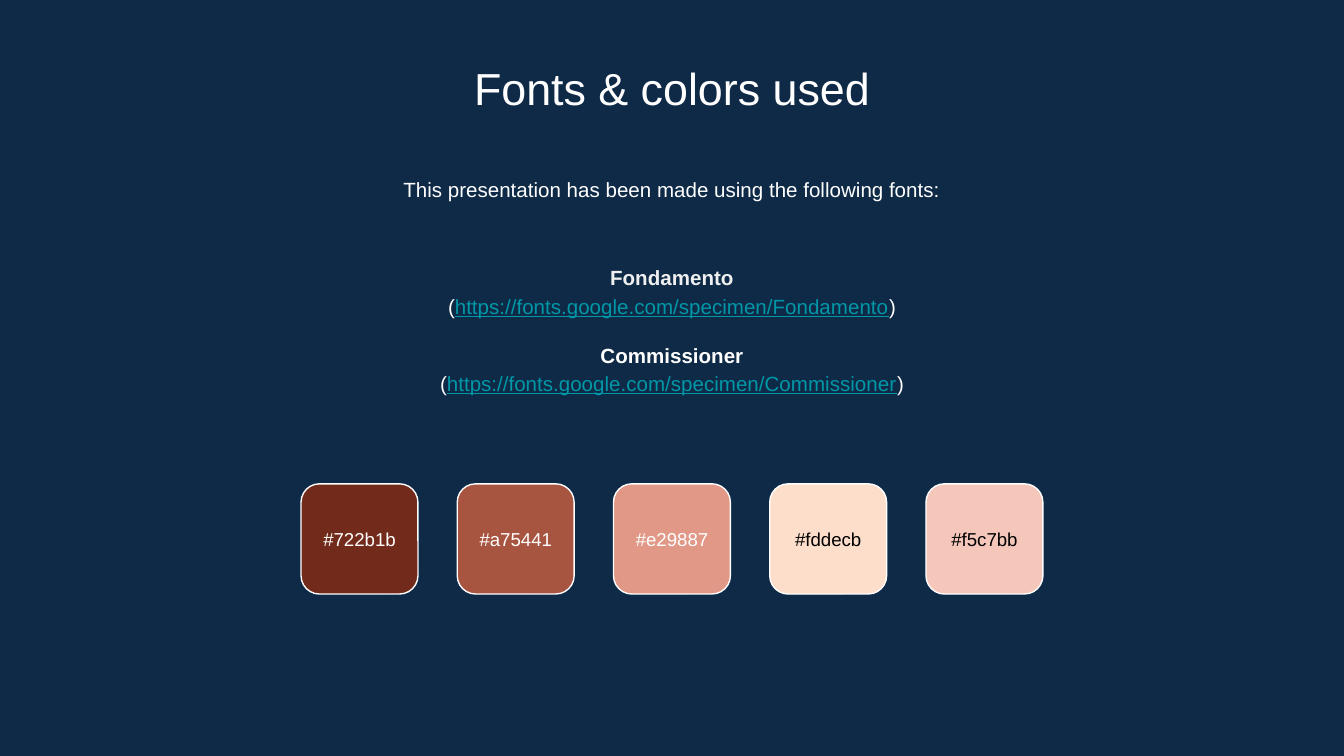
import pptx
import pptx.util
import pptx.dml.color
import pptx.enum.shapes
import pptx.enum.text
import pptx.oxml.ns
import lxml.etree

Inches, Pt = pptx.util.Inches, pptx.util.Pt
Anchor = pptx.enum.text.MSO_ANCHOR

COLORS = {"navy": "0E2A47", "white": "FFFFFF", "black": "000000",
          "pale": "EFEFEF", "link": "0097A7"}
SWATCHES = [("722b1b", "white"), ("a75441", "white"), ("e29887", "white"),
            ("fddecb", "black"), ("f5c7bb", "black")]
FONTS = [("Fondamento", "pale", "https://fonts.google.com/specimen/Fondamento"),
         ("Commissioner", "white", "https://fonts.google.com/specimen/Commissioner")]

WIDTH = 10
HEIGHT = WIDTH * 9 / 16
MARGIN = 1.27
COLUMN = WIDTH - 2 * MARGIN


def rgb(name):
    return pptx.dml.color.RGBColor.from_string(COLORS.get(name, name).upper())


def write(box, frame_place, anchor, lines, spacing=1.0):
    box.left, box.top, box.width, box.height = map(Inches, frame_place)
    frame = box.text_frame
    frame.word_wrap = True
    frame.auto_size = pptx.enum.text.MSO_AUTO_SIZE.NONE
    frame.vertical_anchor = anchor
    frame.margin_left = frame.margin_right = Inches(0.1)
    frame.margin_top = frame.margin_bottom = Inches(0.1)
    frame.text = "\n".join(text for text, size, color in lines)
    for para, (text, size, color) in zip(frame.paragraphs, lines):
        para.alignment = pptx.enum.text.PP_ALIGN.CENTER
        para.line_spacing = spacing
        para.space_before = Pt(0)
        if box.is_placeholder:
            properties = para._p.get_or_add_pPr()
            properties.set("marL", "0")
            properties.set("indent", "0")
            lxml.etree.SubElement(properties, pptx.oxml.ns.qn("a:buNone"))
        para.font.name = "Arial"
        para.font.size = Pt(size)
        para.font.color.rgb = rgb(color)
    return frame.paragraphs


deck = pptx.Presentation()
deck.slide_width, deck.slide_height = Inches(WIDTH), Inches(HEIGHT)
page = deck.slides.add_slide(deck.slide_layouts[1])
page.background.fill.solid()
page.background.fill.fore_color.rgb = rgb("navy")

write(page.shapes.title, (MARGIN, 0.35, COLUMN, 0.53), Anchor.TOP,
      [("Fonts & colors used", 24, "white")])

intro = page.shapes.add_textbox(0, 0, 0, 0)
write(intro, (MARGIN, 1.19, COLUMN, 0.48), Anchor.TOP,
      [("This presentation has been made using the following fonts:", 11, "white")], 1.15)

lines = []
for name, color, link in FONTS:
    lines += [(name, 11, color), ("(", 11, "white")]
paragraphs = write(page.placeholders[1], (MARGIN, 1.76, COLUMN, 1.37),
                   Anchor.MIDDLE, lines, 1.15)
for heading, address, (name, color, link) in zip(paragraphs[::2], paragraphs[1::2], FONTS):
    heading.font.bold = True
    span = address.add_run()
    span.text = link
    span.font.underline = True
    span.font.color.rgb = rgb("link")
    address.add_run().text = ")"
paragraphs[2].space_before = Pt(11)

SWATCH_LEFT, SWATCH_TOP = 2.24, 3.6
SWATCH_WIDTH, SWATCH_HEIGHT = 0.87, 0.82
LABEL_HEIGHT = 0.48
STEP = (WIDTH - 2 * SWATCH_LEFT - SWATCH_WIDTH) / (len(SWATCHES) - 1)
LABEL_TOP = SWATCH_TOP + (SWATCH_HEIGHT - LABEL_HEIGHT) / 2

palette = page.shapes.add_group_shape()
for index, (code, ink) in enumerate(SWATCHES):
    left = SWATCH_LEFT + index * STEP
    swatch = palette.shapes.add_shape(
        pptx.enum.shapes.MSO_SHAPE.ROUNDED_RECTANGLE, Inches(left),
        Inches(SWATCH_TOP), Inches(SWATCH_WIDTH), Inches(SWATCH_HEIGHT))
    swatch.shadow.inherit = False
    swatch.fill.solid()
    swatch.fill.fore_color.rgb = rgb(code)
    swatch.line.color.rgb = rgb("white")
    swatch.line.width = Pt(0.75)

    place = (left, LABEL_TOP, SWATCH_WIDTH, LABEL_HEIGHT)
    label = palette.shapes.add_textbox(*map(Inches, place))
    write(label, place, Anchor.MIDDLE, [("#" + code, 10, ink)])

deck.save("out.pptx")
